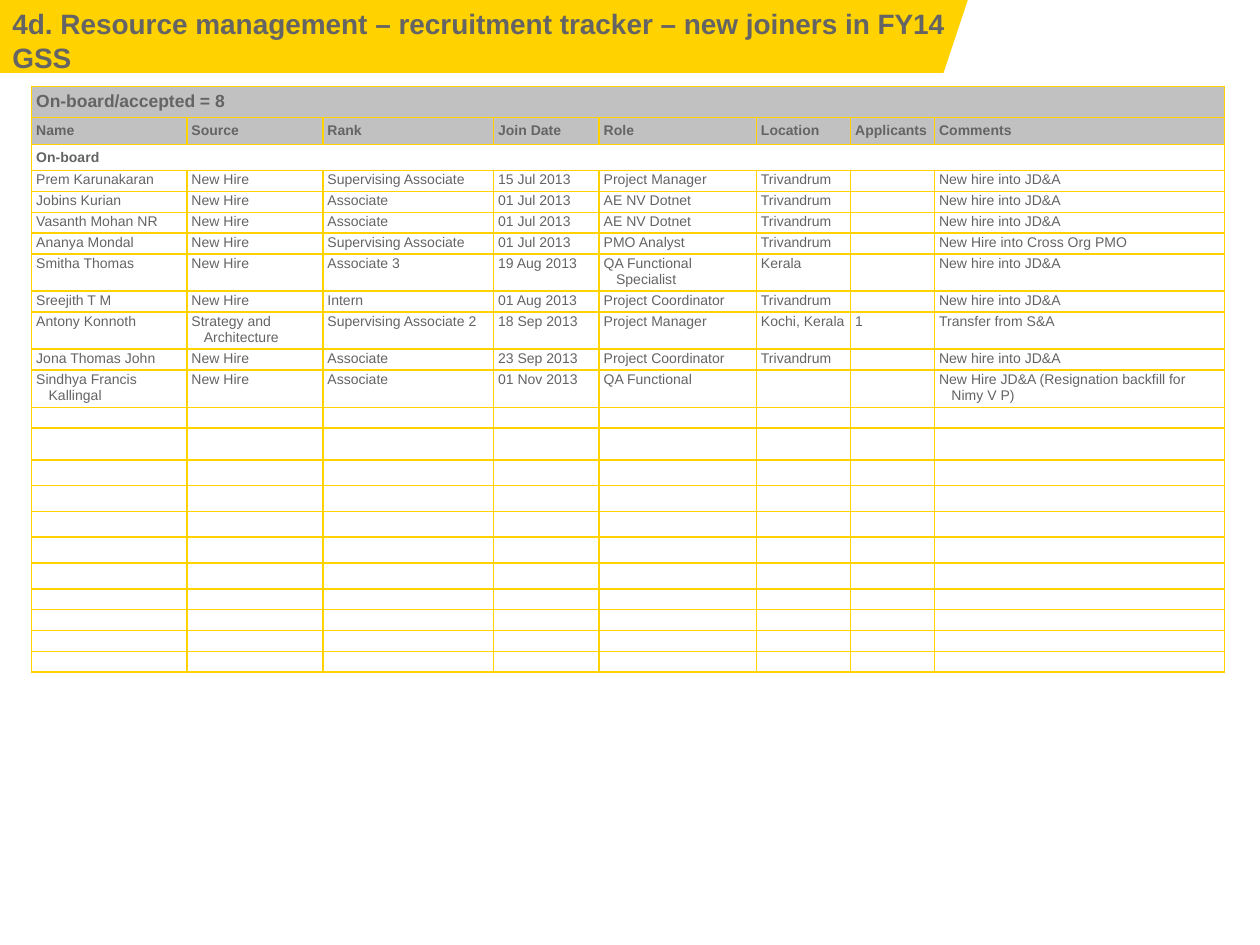
from dataclasses import dataclass

from lxml import etree
from pptx import Presentation
from pptx.dml.color import RGBColor
from pptx.enum.text import MSO_ANCHOR, PP_ALIGN
from pptx.oxml.ns import qn
from pptx.util import Cm, Pt

TOP = MSO_ANCHOR.TOP
LEFT = PP_ALIGN.LEFT
TITLE_ONLY = 5

YELLOW = RGBColor(0xFF, 0xD2, 0x00)
TEXT_GREY = RGBColor(0x64, 0x64, 0x64)
HEADER_GREY = RGBColor(0xC1, 0xC1, 0xC1)
WHITE = RGBColor(0xFF, 0xFF, 0xFF)
FONT = "Arial"

SIDE_MARGIN = Cm(0.09)
HANGING = Cm(0.25)
BORDER_SIDES = ("a:lnL", "a:lnR", "a:lnT", "a:lnB")


@dataclass(frozen=True)
class RowStyle:
    size: float
    bold: bool
    fill: RGBColor
    margin: float


@dataclass(frozen=True)
class Row:
    style: RowStyle
    height: float
    texts: tuple = ()
    merged: bool = False


BANNER_ROW = RowStyle(10, True, HEADER_GREY, 0.1)
HEADING_ROW = RowStyle(8, True, HEADER_GREY, 0.1)
SECTION_ROW = RowStyle(8, True, WHITE, 0.1)
BODY_ROW = RowStyle(8, False, WHITE, 0.03)

SINGLE, DOUBLE = 0.42, 0.75
COLUMN_WIDTHS = (3.13, 2.74, 3.44, 2.13, 3.17, 1.9, 1.69, 5.84)
EMPTY_HEIGHTS = (SINGLE, 0.64, *[0.52] * 5, *[SINGLE] * 4)

HEADINGS = ("Name", "Source", "Rank", "Join Date", "Role", "Location",
            "Applicants", "Comments")
JOINERS = (
    (SINGLE, ("Prem Karunakaran", "New Hire", "Supervising Associate", "15 Jul 2013",
              "Project Manager", "Trivandrum", "", "New hire into JD&A")),
    (SINGLE, ("Jobins Kurian", "New Hire", "Associate", "01 Jul 2013",
              "AE NV Dotnet", "Trivandrum", "", "New hire into JD&A")),
    (SINGLE, ("Vasanth Mohan NR", "New Hire", "Associate", "01 Jul 2013",
              "AE NV Dotnet", "Trivandrum", "", "New hire into JD&A")),
    (SINGLE, ("Ananya Mondal", "New Hire", "Supervising Associate", "01 Jul 2013",
              "PMO Analyst", "Trivandrum", "", "New Hire into Cross Org PMO")),
    (DOUBLE, ("Smitha Thomas", "New Hire", "Associate 3", "19 Aug 2013",
              "QA Functional Specialist", "Kerala", "", "New hire into JD&A")),
    (SINGLE, ("Sreejith T M", "New Hire", "Intern", "01 Aug 2013",
              "Project Coordinator", "Trivandrum", "", "New hire into JD&A")),
    (DOUBLE, ("Antony Konnoth", "Strategy and Architecture", "Supervising Associate 2",
              "18 Sep 2013", "Project Manager", "Kochi, Kerala", "1",
              "Transfer from S&A")),
    (SINGLE, ("Jona Thomas John", "New Hire", "Associate", "23 Sep 2013",
              "Project Coordinator", "Trivandrum", "", "New hire into JD&A")),
    (DOUBLE, ("Sindhya Francis Kallingal", "New Hire", "Associate", "01 Nov 2013",
              "QA Functional", "", "",
              "New Hire JD&A (Resignation backfill for Nimy V P)")),
)
ROWS = (
    Row(BANNER_ROW, 0.63, ("On-board/accepted = 8",), merged=True),
    Row(HEADING_ROW, 0.54, HEADINGS),
    Row(SECTION_ROW, 0.53, ("On-board",), merged=True),
    *(Row(BODY_ROW, height, texts) for height, texts in JOINERS),
    *(Row(BODY_ROW, height) for height in EMPTY_HEIGHTS),
)
TITLE_LINES = ("4d. Resource management – recruitment tracker – new joiners in FY14",
               "GSS")


def apply_format(target, values: dict) -> None:
    for name, value in values.items():
        setattr(target, name, value)


def write_span(para, text: str, size: float, bold: bool) -> None:
    span = para.add_run()
    span.text = text
    apply_format(span.font, {"name": FONT, "size": Pt(size), "bold": bold})
    span.font.color.rgb = TEXT_GREY


def draw_banner(slide):
    builder = slide.shapes.build_freeform(Cm(19.51), 0)
    builder.add_line_segments([(Cm(19.02), Cm(1.47)), (0, Cm(1.47)), (0, 0)])
    banner = builder.convert_to_shape()
    banner.shadow.inherit = False
    banner.fill.solid()
    banner.fill.fore_color.rgb = YELLOW
    banner.line.fill.background()
    return banner


def write_title(title) -> None:
    apply_format(title, {"left": 0, "top": 0, "width": Cm(21.46), "height": Cm(4.11)})
    box = title.text_frame
    apply_format(box, {"vertical_anchor": TOP, "word_wrap": True,
                       "margin_left": Cm(0.25), "margin_right": Cm(0.25),
                       "margin_top": Cm(0.13), "margin_bottom": Cm(0.13)})
    for index, line in enumerate(TITLE_LINES):
        para = box.add_paragraph() if index else box.paragraphs[0]
        apply_format(para, {"alignment": LEFT, "line_spacing": 1.0,
                            "space_before": Pt(0), "space_after": Pt(0)})
        write_span(para, line, 16, True)


def add_borders(cell) -> None:
    properties = cell._tc.get_or_add_tcPr()
    for side in BORDER_SIDES:
        line = etree.SubElement(properties, qn(side), w=str(Pt(1)))
        fill = etree.SubElement(line, qn("a:solidFill"))
        etree.SubElement(fill, qn("a:srgbClr"), val=str(YELLOW))


def format_cell(cell, style: RowStyle, text: str) -> None:
    add_borders(cell)
    cell.fill.solid()
    cell.fill.fore_color.rgb = style.fill
    apply_format(cell, {"vertical_anchor": TOP,
                        "margin_left": SIDE_MARGIN, "margin_right": SIDE_MARGIN,
                        "margin_top": Cm(style.margin),
                        "margin_bottom": Cm(style.margin)})
    para = cell.text_frame.paragraphs[0]
    para.space_after = Pt(style.size * 0.1)
    indents = para._p.get_or_add_pPr()
    indents.set("marL", str(HANGING))
    indents.set("indent", str(-HANGING))
    if text:
        write_span(para, text, style.size, style.bold)
    else:
        # Keeps an empty cell from growing its row to the default text size.
        etree.SubElement(para._p, qn("a:endParaRPr"), sz=str(style.size * 100))


def draw_tracker(slide, rows: tuple) -> None:
    frame = slide.shapes.add_table(
        len(rows), len(COLUMN_WIDTHS), Cm(0.64), Cm(1.74),
        Cm(sum(COLUMN_WIDTHS)), Cm(sum(row.height for row in rows)))
    table = frame.table
    apply_format(table, {"first_row": False, "horz_banding": False})
    for column, width in zip(table.columns, COLUMN_WIDTHS):
        column.width = Cm(width)
    last = len(COLUMN_WIDTHS) - 1
    for row_index, row in enumerate(rows):
        table.rows[row_index].height = Cm(row.height)
        for column_index in range(last + 1):
            text = row.texts[column_index] if column_index < len(row.texts) else ""
            format_cell(table.cell(row_index, column_index), row.style, text)
        if row.merged:
            table.cell(row_index, 0).merge(table.cell(row_index, last))


def main() -> None:
    deck = Presentation()
    apply_format(deck, {"slide_width": Cm(25.4), "slide_height": Cm(19.05)})
    slide = deck.slides.add_slide(deck.slide_layouts[TITLE_ONLY])
    title = slide.shapes.title
    write_title(title)
    banner = draw_banner(slide)
    title._element.addprevious(banner._element)
    draw_tracker(slide, ROWS)
    deck.save("out.pptx")


if __name__ == "__main__":
    main()
